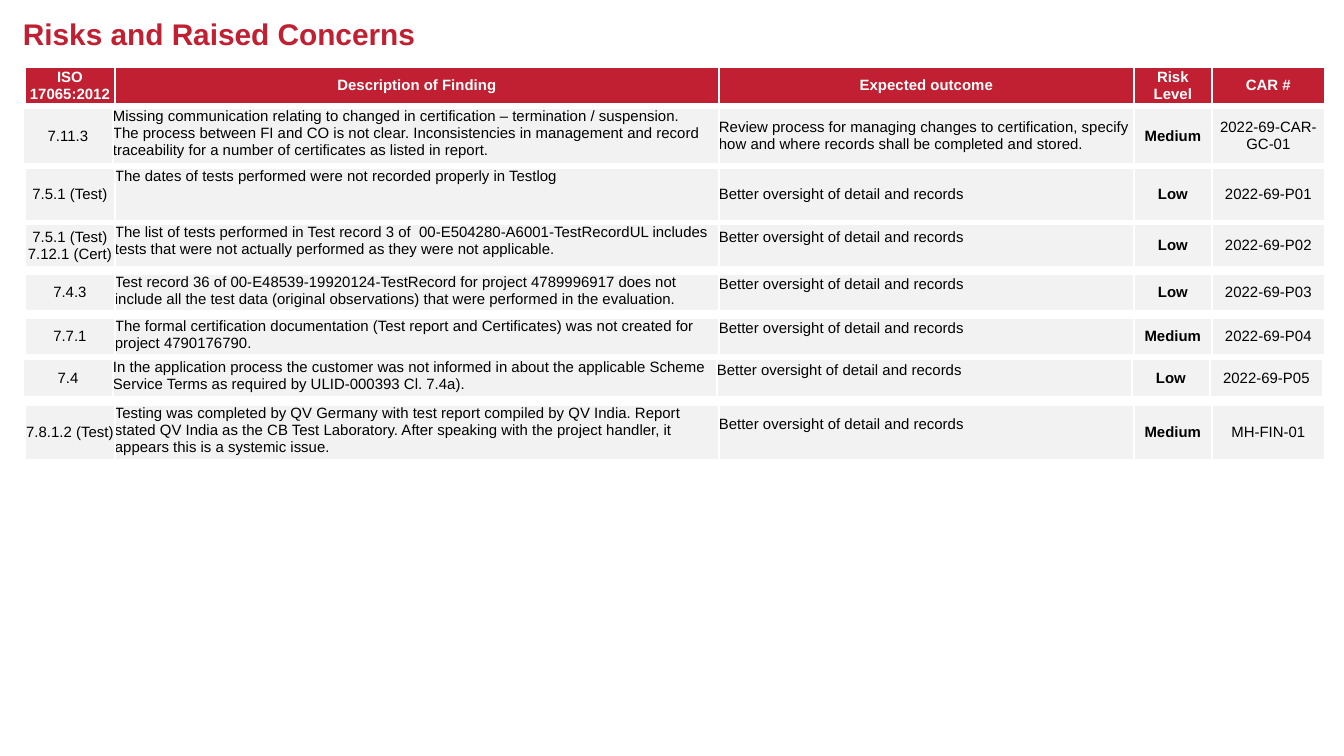
from pptx import Presentation
from pptx import util as u
from pptx.dml.color import RGBColor
from pptx.enum import text
from pptx.oxml import parse_xml
from pptx.oxml.ns import nsdecls

SCALE = 914400 / 134.4
RED, GREY, WHITE, BLACK = "C02032", "F2F2F2", "FFFFFF", "000000"
MID, TOP = text.MSO_ANCHOR.MIDDLE, text.MSO_ANCHOR.TOP
LEFT, MAIN = text.PP_ALIGN.LEFT, text.PP_ALIGN.CENTER
COLS = (90, 604, 415, 78, 113)
WIDE = (90, 606, 415, 78, 113)
LINE = 16
BETTER = "Better oversight of detail and records"
HEAD = ("ISO 17065:2012", "Description of Finding", "Expected outcome",
        "Risk\nLevel", "CAR #")

# left, top, height, columns, space under the outcome, cell texts
ROWS = [
    (23, 108, 56, WIDE, 0, (
        "7.11.3",
        "Missing communication relating to changed in certification – "
        "termination / suspension.\nThe process between FI and CO is not clear. "
        "Inconsistencies in management and record traceability for a number of "
        "certificates as listed in report.",
        "Review process for managing changes to certification, specify how and "
        "where records shall be completed and stored.",
        "Medium", "2022-69-CAR-GC-01")),
    (25, 168, 53, COLS, 0, (
        "7.5.1 (Test)",
        "The dates of tests performed were not recorded properly in Testlog",
        BETTER, "Low", "2022-69-P01")),
    (25, 224, 43, COLS, LINE, (
        "7.5.1 (Test)\n7.12.1 (Cert)",
        "The list of tests performed in Test record 3 of  "
        "00-E504280-A6001-TestRecordUL includes tests that were not actually "
        "performed as they were not applicable.",
        BETTER, "Low", "2022-69-P02")),
    (25, 274, 37, COLS, LINE, (
        "7.4.3",
        "Test record 36 of 00-E48539-19920124-TestRecord for project 4789996917 "
        "does not include all the test data (original observations) that were "
        "performed in the evaluation.",
        BETTER, "Low", "2022-69-P03")),
    (25, 318, 37, COLS, LINE, (
        "7.7.1",
        "The formal certification documentation (Test report and Certificates) "
        "was not created for project 4790176790.",
        BETTER, "Medium", "2022-69-P04")),
    (23, 359, 38, COLS, LINE, (
        "7.4",
        "In the application process the customer was not informed in about the "
        "applicable Scheme Service Terms as required by ULID-000393 Cl. 7.4a).",
        BETTER, "Low", "2022-69-P05")),
    (25, 405, 55, COLS, LINE, (
        "7.8.1.2 (Test)",
        "Testing was completed by QV Germany with test report compiled by QV "
        "India. Report stated QV India as the CB Test Laboratory. After speaking "
        "with the project handler, it appears this is a systemic issue.",
        BETTER, "Medium", "MH-FIN-01")),
]


def px(n):
    return u.Emu(round(n * SCALE))


def color(hue):
    return RGBColor.from_string(hue)


def put(obj, vals):
    """Set each attribute of obj from a dict."""
    for key, val in vals.items():
        setattr(obj, key, val)


def write(frame, words, size, hue, bold, align):
    frame.word_wrap = True
    frame.text = words
    for para in frame.paragraphs:
        para.alignment = align
        put(para.font, {"name": "Arial", "size": u.Pt(size), "bold": bold})
        para.font.color.rgb = color(hue)


def edge(cell):
    """Give a cell white left and right borders."""
    props = cell._tc.get_or_add_tcPr()
    for side in ("lnL", "lnR"):
        props.append(parse_xml(
            f'<a:{side} {nsdecls("a")} w="12700"><a:solidFill>'
            f'<a:srgbClr val="{WHITE}"/></a:solidFill></a:{side}>'))


def title(slide, box, words):
    frame = slide.shapes.add_textbox(*map(px, box)).text_frame
    put(frame, dict.fromkeys(("margin_left", "margin_top", "margin_right",
                              "margin_bottom"), 0))
    write(frame, words, 16, RED, True, LEFT)


def band(slide, box, cols, words, head=False, under=0):
    """Place one row of the register as a table of its own."""
    grid = slide.shapes.add_table(1, len(cols), *map(px, box)).table
    put(grid, {"first_row": False, "horz_banding": False})
    grid.rows[0].height = px(box[3])
    for i, (wide, item) in enumerate(zip(cols, words)):
        grid.columns[i].width = px(wide)
        cell = grid.cell(0, i)
        put(cell, {"margin_left": 0, "margin_right": 0, "margin_top": 0,
                   "margin_bottom": px(under if i == 2 else 0),
                   "vertical_anchor": TOP if i == 1 and not head else MID})
        edge(cell)
        cell.fill.solid()
        cell.fill.fore_color.rgb = color(RED if head else GREY)
        write(cell.text_frame, item, 8, WHITE if head else BLACK,
              head or i == 3, LEFT if i in (1, 2) and not head else MAIN)


def main():
    deck = Presentation()
    put(deck, {"slide_width": px(1344), "slide_height": px(756)})
    slide = deck.slides.add_slide(deck.slide_layouts[6])
    title(slide, (23, 16, 1255, 36), "Risks and Raised Concerns")
    band(slide, (25, 67, sum(COLS), 37), COLS, HEAD, head=True)
    for left, top, high, cols, under, words in ROWS:
        band(slide, (left, top, sum(cols), high), cols, words, under=under)
    deck.save("out.pptx")


if __name__ == "__main__":
    main()
